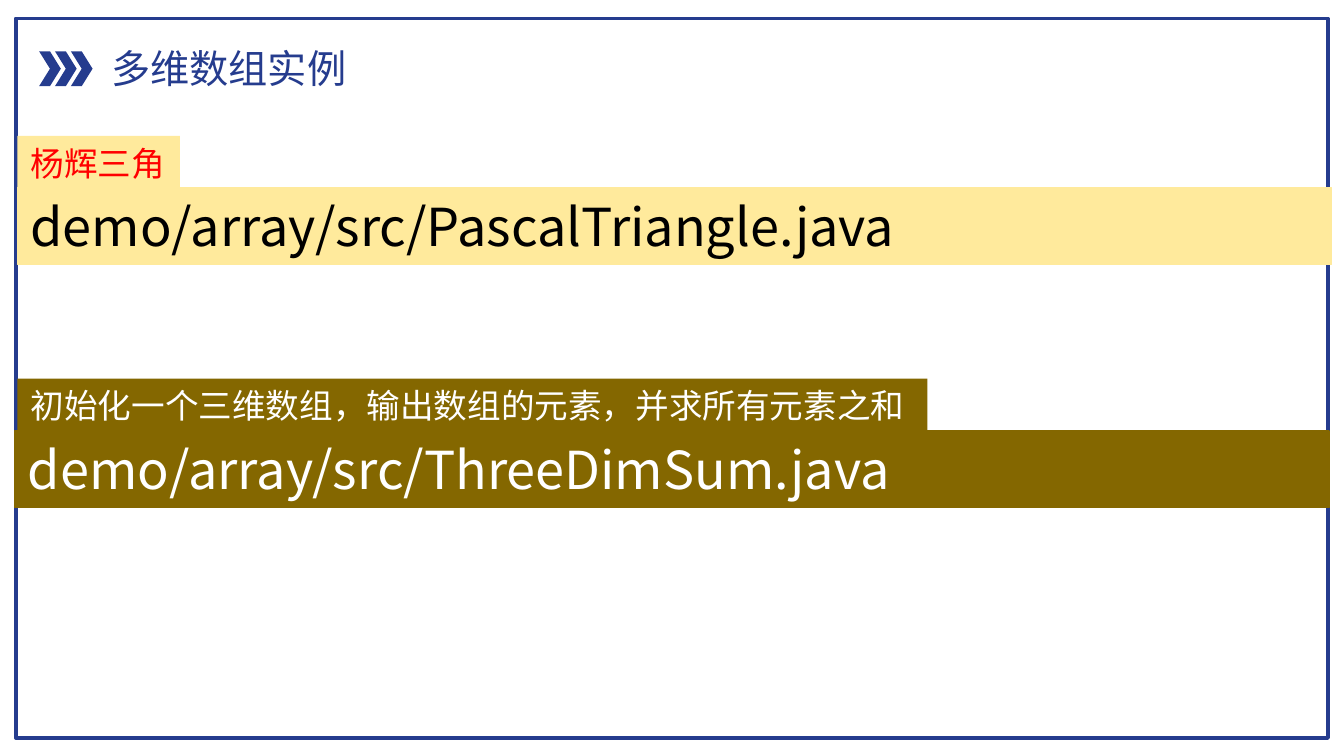
from pptx import Presentation
from pptx import util as u
from pptx.dml.color import RGBColor
from pptx.enum import shapes, text
from pptx.oxml.ns import qn
from lxml import etree


def rgb(value):
    return RGBColor.from_string(value)


class Deck:
    font = "Noto Sans CJK SC"
    navy = "253C8E"
    cream = "FFEA9C"
    olive = "846700"

    def __init__(self, prs):
        self.s = prs.slides.add_slide(prs.slide_layouts[6])

    def shape(self, kind, x, y, w, h, fill=None, line=None, weight=0.75):
        sp = self.s.shapes.add_shape(kind, u.Cm(x), u.Cm(y), u.Cm(w), u.Cm(h))
        sp.shadow.inherit = False
        if fill:
            sp.fill.solid()
            sp.fill.fore_color.rgb = rgb(fill)
        else:
            sp.fill.background()
        if line:
            sp.line.color.rgb = rgb(line)
            sp.line.width = u.Pt(weight)
        else:
            sp.line.fill.background()
        return sp

    def add_text(self, sp, words, size, color, wrap=False, latin=None):
        tf = sp.text_frame
        tf.word_wrap = wrap
        tf.auto_size = text.MSO_AUTO_SIZE.SHAPE_TO_FIT_TEXT
        tf.vertical_anchor = text.MSO_ANCHOR.TOP
        p = tf.paragraphs[0]
        p.alignment = text.PP_ALIGN.LEFT
        r = p.add_run()
        r.text = words
        r.font.size = u.Pt(size)
        r.font.color.rgb = rgb(color)
        r.font.name = latin or self.font
        etree.SubElement(r.font._element, qn("a:ea"), typeface=self.font)

    def frame(self, x, y, w, h):
        self.shape(shapes.MSO_SHAPE.RECTANGLE, x, y, w, h, line=self.navy, weight=2)

    def title(self, words):
        for i in range(3):
            self.shape(shapes.MSO_SHAPE.CHEVRON, 0.74 + 0.3 * i, 0.97, 0.41, 0.66, self.navy)
        box = self.s.shapes.add_textbox(u.Cm(1.85), u.Cm(0.71), u.Cm(5), u.Cm(1.14))
        self.add_text(box, words, 21, self.navy)

    def bar(self, words, x, y, fill, color):
        sp = self.shape(shapes.MSO_SHAPE.RECTANGLE, x, y, 24.84, 1.45, fill, fill)
        self.add_text(sp, words, 28, color, wrap=True)

    def label(self, words, y, w, fill, color, latin=None):
        sp = self.shape(shapes.MSO_SHAPE.RECTANGLE, 0.33, y, w, 1.02, fill)
        self.add_text(sp, words, 18, color, latin=latin)


def main():
    prs = Presentation()
    prs.slide_width, prs.slide_height = u.Cm(25.4), u.Cm(14.29)
    deck = Deck(prs)
    deck.frame(0.3, 0.35, 24.8, 13.6)
    deck.title("多维数组实例")
    deck.bar("demo/array/src/PascalTriangle.java", 0.33, 3.55, deck.cream, "000000")
    deck.bar("demo/array/src/ThreeDimSum.java", 0.28, 8.15, deck.olive, "FFFFFF")
    deck.label("杨辉三角", 2.57, 3.07, deck.cream, "FF0000", "Times New Roman")
    deck.label("初始化一个三维数组，输出数组的元素，并求所有元素之和", 7.16, 17.2, deck.olive, "FFFFFF")
    prs.save("out.pptx")


if __name__ == "__main__":
    main()
